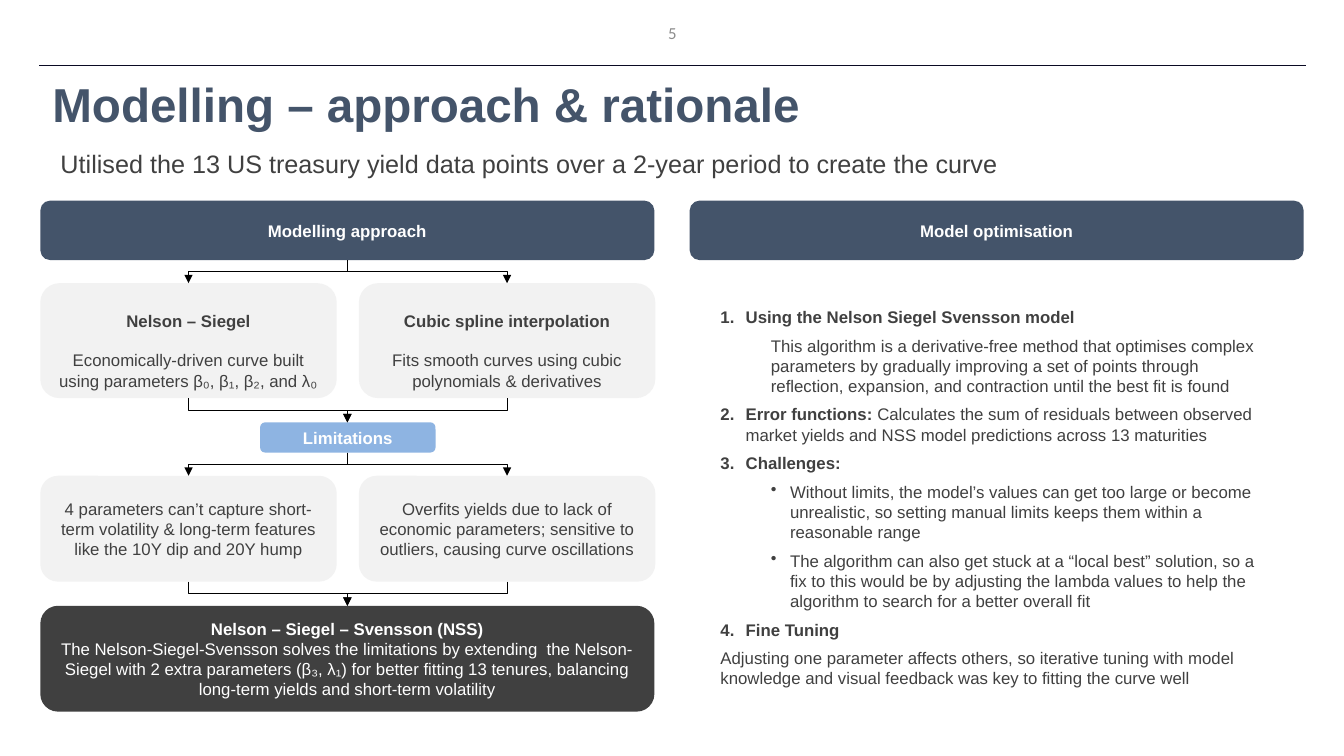
from pptx import Presentation
from pptx.dml.color import RGBColor
from pptx.enum.shapes import MSO_CONNECTOR, MSO_SHAPE
from pptx.enum.text import MSO_ANCHOR, PP_ALIGN
from pptx.oxml.ns import qn
from pptx.util import Inches, Pt
from lxml import etree

ROUND = MSO_SHAPE.ROUNDED_RECTANGLE
STRAIGHT, ELBOW = MSO_CONNECTOR.STRAIGHT, MSO_CONNECTOR.ELBOW
TOP, MIDDLE, BOTTOM = MSO_ANCHOR.TOP, MSO_ANCHOR.MIDDLE, MSO_ANCHOR.BOTTOM
LEFT, CENTER = PP_ALIGN.LEFT, PP_ALIGN.CENTER

NAVY, DARK, PALE, SKY, WHITE = "44546A", "404040", "F2F2F2", "8EB4E2", "FFFFFF"
EDGE, WIDE, HALF, SPLIT = 0.4, 6.09, 2.94, 3.56
MID = EDGE + WIDE / 2
SIDES = (EDGE + HALF / 2, SPLIT + HALF / 2)

NUMBER = {"left": 0.25, "hang": -0.25, "mark": ("buAutoNum", {"type": "arabicPeriod"})}
BULLET = {"level": 1, "left": 0.69, "hang": -0.19, "mark": ("buChar", {"char": "•"})}
INDENT = {"level": 1, "left": 0.5}
STEPS = [
    (NUMBER, [("Using the Nelson Siegel Svensson model", True)]),
    (INDENT, [("This algorithm is a derivative-free method that optimises complex parameters by gradually improving a set of points through reflection, expansion, and contraction until the best fit is found", False)]),
    (NUMBER, [("Error functions: ", True),
              ("Calculates the sum of residuals between observed market yields and NSS model predictions across 13 maturities", False)]),
    (NUMBER, [("Challenges:", True)]),
    (BULLET, [("Without limits, the model’s values can get too large or become unrealistic, so setting manual limits keeps them within a reasonable range", False)]),
    (BULLET, [("The algorithm can also get stuck at a “local best” solution, so a fix to this would be by adjusting the lambda values to help the algorithm to search for a better overall fit", False)]),
    (NUMBER, [("Fine Tuning", True)]),
    ({}, [("Adjusting one parameter affects others, so iterative tuning with model knowledge and visual feedback was key to fitting the curve well", False)]),
]
MODELS = [
    ("Nelson – Siegel", "Economically-driven curve built using parameters β₀, β₁, β₂, and λ₀"),
    ("Cubic spline interpolation", "Fits smooth curves using cubic polynomials & derivatives"),
]
LIMITS = [
    "4 parameters can’t capture short-term volatility & long-term features like the 10Y dip and 20Y hump",
    "Overfits yields due to lack of economic parameters; sensitive to outliers, causing curve oscillations",
]
RESULT = [
    ("Nelson – Siegel – Svensson (NSS)", True),
    ("The Nelson-Siegel-Svensson solves the limitations by extending  the Nelson-Siegel with 2 extra parameters (β₃, λ₁) for better fitting 13 tenures, balancing long-term yields and short-term volatility", False),
]


def paint(target, color):
    target.rgb = RGBColor.from_string(color)


def assign(item, values):
    for name, value in values.items():
        setattr(item, name, value)


def add_run(para, text, color, size=12, bold=False, font="Arial"):
    run = para.add_run()
    assign(run, {"text": text})
    assign(run.font, {"size": Pt(size), "bold": bold, "name": font})
    paint(run.font.color, color)


def next_para(frame, index):
    return frame.add_paragraph() if index else frame.paragraphs[0]


def set_list(para, style):
    props = para._p.get_or_add_pPr()
    props.set("marL", str(Inches(style.get("left", 0))))
    props.set("indent", str(Inches(style.get("hang", 0))))
    if "mark" in style:
        tag, attrs = style["mark"]
        etree.SubElement(props, qn("a:" + tag), attrs)


def add_box(slide, area, fill=None, anchor=MIDDLE):
    box = slide.shapes.add_shape(ROUND, *map(Inches, area))
    box.shadow.inherit = False
    box.line.fill.background()
    if fill:
        box.fill.solid()
        paint(box.fill.fore_color, fill)
    else:
        box.fill.background()
    assign(box.text_frame, {"word_wrap": True, "vertical_anchor": anchor})
    return box


def add_card(slide, area, fill, color, parts, gap=0, anchor=MIDDLE):
    frame = add_box(slide, area, fill, anchor).text_frame
    if anchor == BOTTOM:
        frame.margin_bottom = Inches(0.02)
    for index, (text, bold) in enumerate(parts):
        para = next_para(frame, index)
        assign(para, {"alignment": CENTER, "space_before": Pt(gap if index else 0)})
        add_run(para, text, color, bold=bold)


def add_steps(slide, area):
    frame = add_box(slide, area).text_frame
    for index, (style, runs) in enumerate(STEPS):
        para = next_para(frame, index)
        assign(para, {"alignment": LEFT, "space_before": Pt(6), "level": style.get("level", 0)})
        set_list(para, style)
        for text, bold in runs:
            add_run(para, text, DARK, bold=bold)


def add_label(slide, area, text, color, size, align, font="Arial", pad=0.04):
    frame = slide.shapes.add_textbox(*map(Inches, area)).text_frame
    assign(frame, {"word_wrap": True, "vertical_anchor": MIDDLE,
                   "margin_left": Inches(pad), "margin_right": Inches(pad),
                   "margin_top": Inches(pad), "margin_bottom": Inches(pad)})
    frame.paragraphs[0].alignment = align
    add_run(frame.paragraphs[0], text, color, size, font=font)


def add_title(slide, text):
    title = slide.shapes.title
    assign(title, {"left": Inches(0.42), "top": Inches(0.69),
                   "width": Inches(10.52), "height": Inches(0.67)})
    assign(title.text_frame, {"vertical_anchor": TOP, "word_wrap": True})
    para = title.text_frame.paragraphs[0]
    para.alignment = LEFT
    add_run(para, text, NAVY, 34, True)


def add_line(slide, kind, ends, color):
    line = slide.shapes.add_connector(kind, *map(Inches, ends))
    line.line.width = Pt(0.5)
    paint(line.line.color, color)
    etree.SubElement(line._element.spPr, qn("a:effectLst"))
    return line


def add_bend(slide, start, end):
    (x1, y1), (x2, y2) = start, end
    drop, span = y2 - y1, abs(x2 - x1)
    left, top = (x1 + x2 - drop) / 2, (y1 + y2 - span) / 2
    bend = add_line(slide, ELBOW, (left, top, left + drop, top + span), "000000")
    right = x2 > x1
    bend.rotation = 270 if right else 90
    if right:
        bend._element.spPr.find(qn("a:xfrm")).set("flipH", "1")
    etree.SubElement(bend.line._get_or_add_ln(), qn("a:tailEnd"), {"type": "triangle"})


def add_fork(slide, top, base, merge=False):
    for side in SIDES:
        start, end = (side, MID) if merge else (MID, side)
        add_bend(slide, (start, top), (end, base))


def main():
    deck = Presentation()
    assign(deck, {"slide_width": Inches(13.33), "slide_height": Inches(7.5)})
    slide = deck.slides.add_slide(deck.slide_layouts[5])
    add_line(slide, STRAIGHT, (0.39, 0.65, 12.95, 0.65), "0A0A23")
    add_label(slide, (5.17, 0.13, 3, 0.4), "5", "8C8C8C", 12, CENTER, "Calibri")
    add_title(slide, "Modelling – approach & rationale")
    add_label(slide, (0.56, 1.34, 12.12, 0.57),
              "Utilised the 13 US treasury yield data points over a 2-year period to create the curve",
              DARK, 18, LEFT)

    for left, head in ((EDGE, "Modelling approach"), (6.84, "Model optimisation")):
        add_card(slide, (left, 1.99, WIDE, 0.59), NAVY, WHITE, [(head, True)])
    add_steps(slide, (6.84, 2.81, WIDE, 4.25))

    for left, (name, note), limit in zip((EDGE, SPLIT), MODELS, LIMITS):
        add_card(slide, (left, 2.81, HALF, 1.14), PALE, DARK,
                 [(name, True), (note, False)], 14, BOTTOM)
        add_card(slide, (left, 4.72, HALF, 1.05), PALE, DARK, [(limit, False)])
    add_card(slide, (2.58, 4.19, 1.74, 0.3), SKY, WHITE, [("Limitations", True)])
    add_card(slide, (EDGE, 6.01, WIDE, 1.05), DARK, WHITE, RESULT)

    add_fork(slide, 2.58, 2.81)
    add_fork(slide, 3.95, 4.19, True)
    add_fork(slide, 4.49, 4.72)
    add_fork(slide, 5.77, 6.01, True)
    deck.save("out.pptx")


if __name__ == "__main__":
    main()
